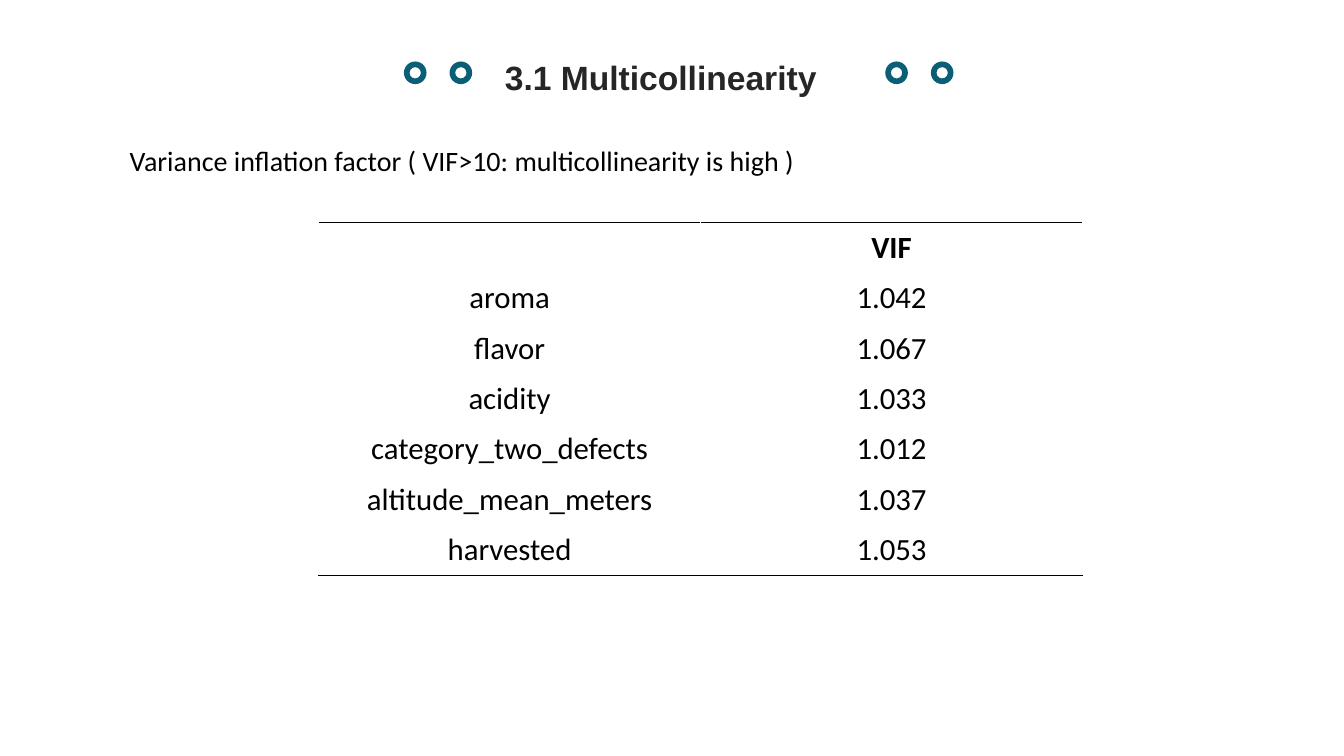
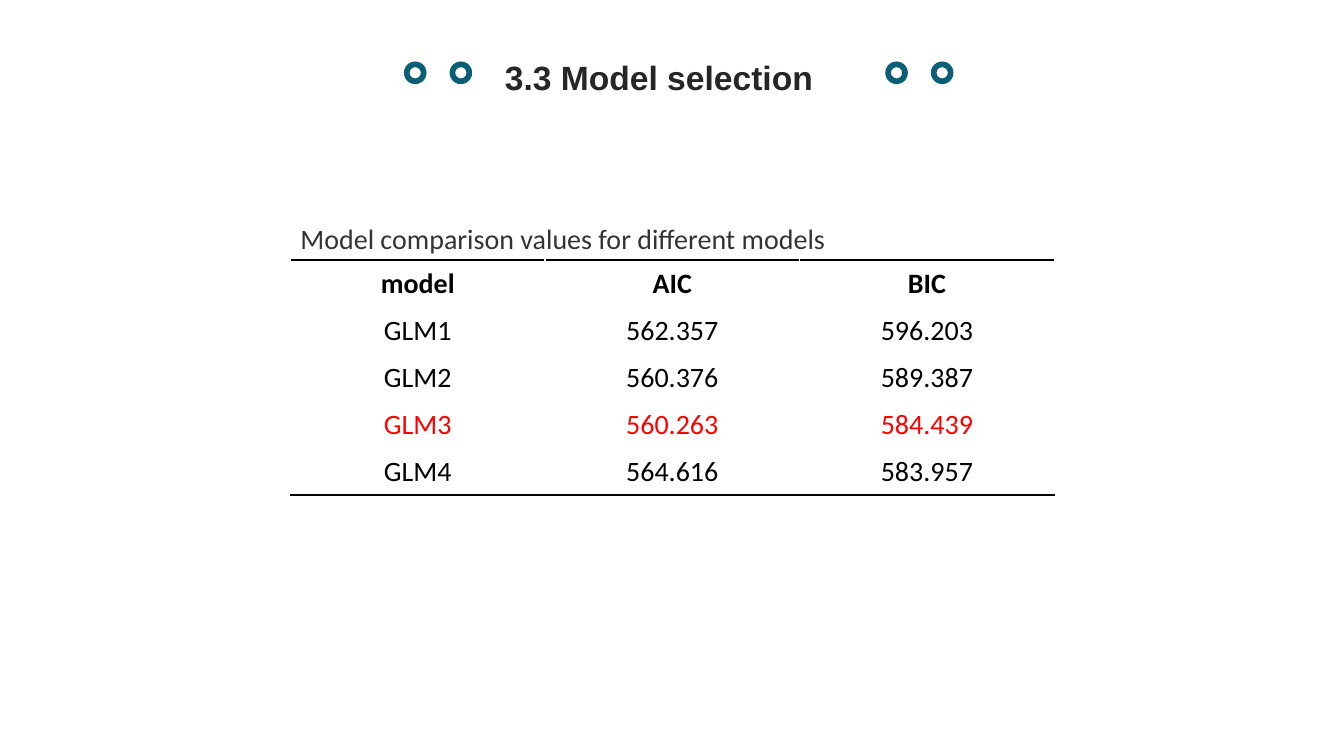
from dataclasses import dataclass

import pptx
import pptx.dml.color
import pptx.enum.shapes
import pptx.enum.text
import pptx.oxml
import pptx.oxml.ns
import pptx.util

Cm = pptx.util.Cm
Align = pptx.enum.text.PP_ALIGN
Anchor = pptx.enum.text.MSO_ANCHOR


@dataclass(frozen=True)
class Theme:
    accent: str = "0A5E75"
    title: str = "262626"
    caption: str = "333333"
    text: str = "000000"
    highlight: str = "FF0000"
    title_font: str = "Arial"
    body_font: str = "Calibri"
    title_size: int = 24
    body_size: int = 20
    large_size: int = 22


THEME = Theme()


def write_text(frame, text, *, size=THEME.body_size, color=THEME.text,
               font=THEME.body_font, bold=False, align=Align.LEFT):
    paragraph = frame.paragraphs[0]
    paragraph.alignment = align
    run = paragraph.add_run()
    run.text = text
    run.font.name = font
    run.font.size = pptx.util.Pt(size)
    run.font.bold = bold
    run.font.color.rgb = pptx.dml.color.RGBColor.from_string(color)


def add_border(cell, side):
    """Rule one side of a cell: 'T' for top, 'B' for bottom."""
    line = pptx.oxml.parse_xml(
        f'<a:ln{side} {pptx.oxml.ns.nsdecls("a")} w="{pptx.util.Pt(1)}">'
        f'<a:solidFill><a:srgbClr val="{THEME.text}"/></a:solidFill>'
        f'</a:ln{side}>')
    cell._tc.get_or_add_tcPr().insert(0, line)


class Deck:
    """Holds the presentation, its theme and the current slide."""

    def __init__(self, theme):
        self.theme = theme
        self.presentation = pptx.Presentation()
        self.presentation.slide_width = Cm(33.87)
        self.presentation.slide_height = Cm(19.05)
        self.slide = None

    def add_slide(self, title):
        layout = self.presentation.slide_layouts.get_by_name("Title Only")
        self.slide = self.presentation.slides.add_slide(layout)
        self.add_rings()
        self.add_title(title)

    def add_rings(self):
        """Place a pair of rings on each side of the title."""
        for pair_left in (10.18, 22.31):
            for index in range(2):
                ring = self.slide.shapes.add_shape(
                    pptx.enum.shapes.MSO_SHAPE.DONUT,
                    Cm(pair_left + 1.15 * index), Cm(1.55), Cm(0.57), Cm(0.57))
                ring.shadow.inherit = False
                ring.fill.solid()
                ring.fill.fore_color.rgb = pptx.dml.color.RGBColor.from_string(
                    self.theme.accent)
                ring.line.fill.background()

    def add_title(self, text):
        title = self.slide.shapes.title
        title.left, title.top = Cm(12.47), Cm(1.3)
        title.width, title.height = Cm(9.25), Cm(1.27)
        frame = title.text_frame
        frame.auto_size = pptx.enum.text.MSO_AUTO_SIZE.NONE
        frame.vertical_anchor = Anchor.TOP
        write_text(frame, text, size=self.theme.title_size,
                   color=self.theme.title, font=self.theme.title_font,
                   bold=True, align=Align.JUSTIFY)

    def add_caption(self, text, left, top, width, **text_format):
        box = self.slide.shapes.add_textbox(Cm(left), Cm(top), Cm(width), Cm(1.12))
        box.text_frame.word_wrap = True
        write_text(box.text_frame, text, **text_format)

    def add_ruled_table(self, rows, left, top, row_height, size, highlight=None):
        """Add a table with rules above and below; highlight is a row number."""
        frame = self.slide.shapes.add_table(
            len(rows), len(rows[0]), Cm(left), Cm(top),
            Cm(19.25), Cm(row_height * len(rows)))
        table = frame.table
        table.first_row = table.horz_banding = False
        for row_index, row in enumerate(rows):
            header = row_index == 0
            color = self.theme.highlight if row_index == highlight else self.theme.text
            for column_index, text in enumerate(row):
                cell = table.cell(row_index, column_index)
                cell.fill.background()
                cell.margin_left = cell.margin_right = Cm(0.16)
                cell.margin_top = cell.margin_bottom = Cm(0.16)
                cell.vertical_anchor = Anchor.BOTTOM if header else Anchor.TOP
                if text:
                    write_text(cell.text_frame, text, size=size, color=color,
                               bold=header, align=Align.CENTER)
                if header:
                    add_border(cell, "T")
                if row_index == len(rows) - 1:
                    add_border(cell, "B")


def main():
    deck = Deck(THEME)

    deck.add_slide("3.1 Multicollinearity")
    inflation_factors = [
        ("", "VIF"),
        ("aroma", "1.042"),
        ("flavor", "1.067"),
        ("acidity", "1.033"),
        ("category_two_defects", "1.012"),
        ("altitude_mean_meters", "1.037"),
        ("harvested", "1.053"),
    ]
    deck.add_ruled_table(inflation_factors, 8.03, 5.61, 1.27, THEME.large_size)
    deck.add_caption("Variance inflation factor ( VIF>10: multicollinearity is high )",
                     3.02, 3.48, 17.83)

    deck.add_slide("3.3 Model selection")
    model_scores = [
        ("model", "AIC", "BIC"),
        ("GLM1", "562.357", "596.203"),
        ("GLM2", "560.376", "589.387"),
        ("GLM3", "560.263", "584.439"),
        ("GLM4", "564.616", "583.957"),
    ]
    deck.add_ruled_table(model_scores, 7.32, 6.55, 1.18, THEME.body_size, highlight=3)
    deck.add_caption("Model comparison values for different models",
                     7.32, 5.46, 13.87, color=THEME.caption)

    deck.presentation.save("out.pptx")


if __name__ == "__main__":
    main()
